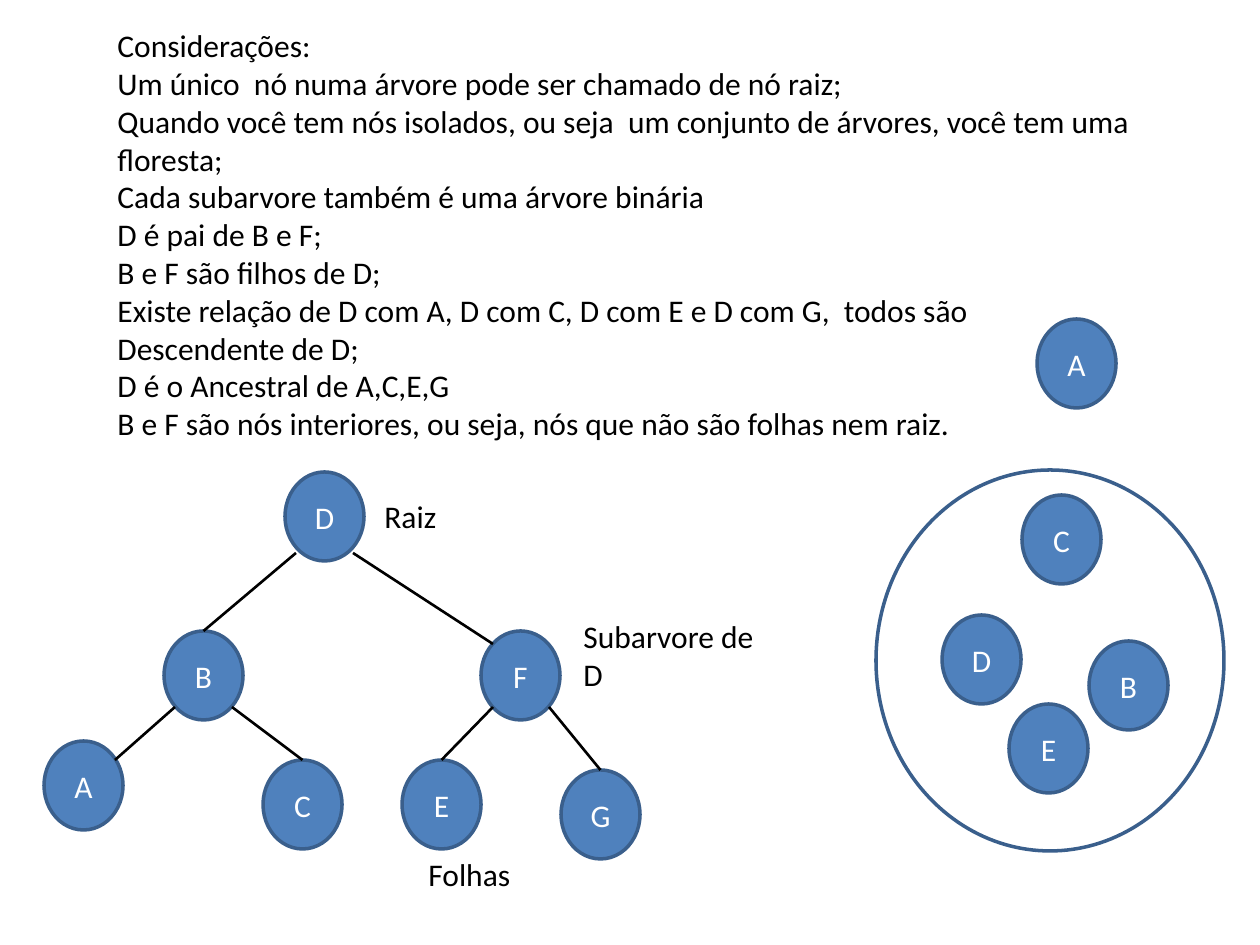
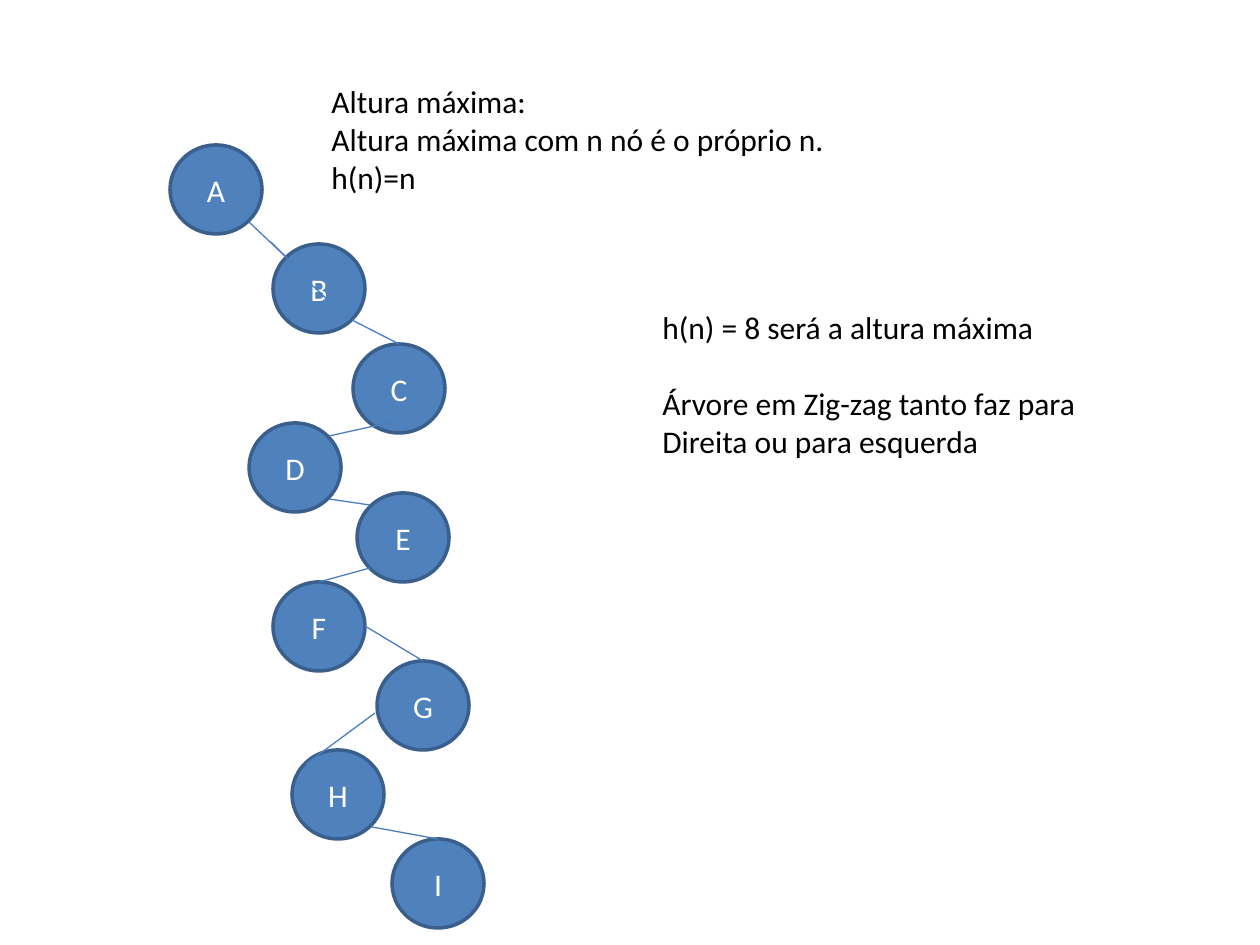
from lxml import etree
from pptx import Presentation
from pptx.dml.color import RGBColor
from pptx.enum import shapes, text
from pptx.oxml import ns
from pptx.util import Emu, Pt

PX = 914400 / 126
FONT = "Calibri"
BLACK = RGBColor(0x00, 0x00, 0x00)
WHITE = RGBColor(0xFF, 0xFF, 0xFF)
NODE_BLUE = RGBColor(0x4F, 0x81, 0xBD)
OUTLINE_BLUE = RGBColor(0x3A, 0x5F, 0x8C)
EDGE_BLUE = RGBColor(0x4B, 0x7E, 0xBC)
NARROW_NODE = (79, 89)
WIDE_NODE = (92, 89)

CONSIDERATIONS = [
    "Considerações:",
    "Um único  nó numa árvore pode ser chamado de nó raiz;",
    "Quando você tem nós isolados, ou seja  um conjunto de árvores, você tem uma floresta;",
    "Cada subarvore também é uma árvore binária",
    "D é pai de B e F;",
    "B e F são filhos de D;",
    "Existe relação de D com A, D com C, D com E e D com G,  todos são",
    "Descendente de D;",
    "D é o Ancestral de A,C,E,G",
    "B e F são nós interiores, ou seja, nós que não são folhas nem raiz.",
]
MAXIMUM_HEIGHT = [
    "Altura máxima:",
    "Altura máxima com n nó é o próprio n.",
    "h(n)=n",
]
ZIGZAG_REMARK = [
    "h(n) = 8 será a altura máxima",
    "Árvore em Zig-zag tanto faz para",
    "Direita ou para esquerda",
]


def px(*lengths):
    return [Emu(round(length * PX)) for length in lengths]


def style_font(paragraph, color):
    paragraph.font.name = FONT
    paragraph.font.size = Pt(18)
    paragraph.font.color.rgb = color


def add_text(slide, box, lines, gap_before=None):
    frame = slide.shapes.add_textbox(*px(*box)).text_frame
    frame.word_wrap = True
    frame.text = "\n".join(lines)
    for index, paragraph in enumerate(frame.paragraphs):
        style_font(paragraph, BLACK)
        if index == gap_before:
            paragraph.space_before = Pt(22)


def add_ellipse(slide, box):
    ellipse = slide.shapes.add_shape(shapes.MSO_SHAPE.OVAL, *px(*box))
    ellipse.shadow.inherit = False
    ellipse.fill.background()
    ellipse.line.color.rgb = OUTLINE_BLUE
    ellipse.line.width = Pt(2)
    return ellipse


def add_node(slide, box, letter):
    node = add_ellipse(slide, box)
    node.fill.solid()
    node.fill.fore_color.rgb = NODE_BLUE
    frame = node.text_frame
    frame.vertical_anchor = text.MSO_ANCHOR.MIDDLE
    label = frame.paragraphs[0]
    label.text = letter
    label.alignment = text.PP_ALIGN.CENTER
    style_font(label, WHITE)
    return node


def add_nodes(slide, origin, size, places):
    left, top = origin
    return {
        letter: add_node(slide, (left + x, top + y, *size), letter)
        for letter, (x, y) in places.items()
    }


def add_edges(slide, origin, nodes, edges, color, width):
    left, top = origin
    for (x, y), target in edges:
        end_x, end_y = (0, 0) if target in nodes else target
        edge = slide.shapes.add_connector(
            shapes.MSO_CONNECTOR.STRAIGHT,
            *px(left + x, top + y, left + end_x, top + end_y),
        )
        if target in nodes:
            edge.end_connect(nodes[target], 0)
        edge.line.color.rgb = color
        edge.line.width = Pt(width)
        etree.SubElement(edge._element.spPr, ns.qn("a:effectLst"))


def draw_forest(slide, origin):
    places = {
        "A": (161, 0),
        "B": (213, 322),
        "C": (146, 176),
        "D": (66, 296),
        "E": (133, 385),
    }
    add_nodes(slide, origin, NARROW_NODE, places)
    left, top = origin
    add_ellipse(slide, (left, top + 151, 348, 381))


def draw_binary_tree(slide, origin):
    places = {
        "A": (0, 269),
        "B": (120, 159),
        "C": (219, 288),
        "D": (241, 0),
        "F": (437, 159),
        "G": (517, 298),
        "E": (358, 288),
    }
    edges = [
        ((252, 81), "B"),
        ((131, 235), (71, 288)),
        ((188, 235), "C"),
        ((309, 81), (449, 172)),
        ((449, 235), "E"),
        ((505, 235), "G"),
    ]
    captions = {
        "Folhas": (372, 377, 159, 50),
        "Subarvore de D": (527, 139, 198, 90),
        "Raiz": (328, 19, 159, 50),
    }
    nodes = add_nodes(slide, origin, NARROW_NODE, places)
    add_edges(slide, origin, nodes, edges, BLACK, 1.5)
    left, top = origin
    for caption, (x, y, width, height) in captions.items():
        add_text(slide, (left + x, top + y, width, height), [caption])


def draw_zigzag_tree(slide, origin):
    places = {
        "A": (0, 0),
        "B": (103, 99),
        "C": (183, 199),
        "D": (79, 278),
        "E": (187, 348),
        "F": (103, 437),
        "G": (207, 516),
        "H": (122, 605),
        "I": (222, 694),
    }
    edges = [
        ((79, 77), (116, 112)),
        ((101, 97), (137, 133)),
        ((142, 140), (179, 175)),
        ((182, 175), "C"),
        ((159, 354), (200, 360)),
        ((227, 276), (159, 291)),
        ((195, 481), "G"),
        ((205, 568), (136, 619)),
        ((202, 682), "I"),
        ((200, 423), "F"),
    ]
    nodes = add_nodes(slide, origin, WIDE_NODE, places)
    add_edges(slide, origin, nodes, edges, EDGE_BLUE, 0.75)


def build_considerations(slide):
    add_text(slide, (105, 20, 1101, 471), CONSIDERATIONS)
    draw_forest(slide, (876, 319))
    draw_binary_tree(slide, (44, 472))


def build_maximum_height(slide):
    add_text(slide, (319, 76, 932, 165), MAXIMUM_HEIGHT)
    draw_zigzag_tree(slide, (170, 145))
    add_text(slide, (650, 302, 476, 165), ZIGZAG_REMARK, gap_before=1)


def main():
    deck = Presentation()
    deck.slide_width, deck.slide_height = px(1260, 945)
    for build in (build_considerations, build_maximum_height):
        build(deck.slides.add_slide(deck.slide_layouts[6]))
    deck.save("out.pptx")


if __name__ == "__main__":
    main()
